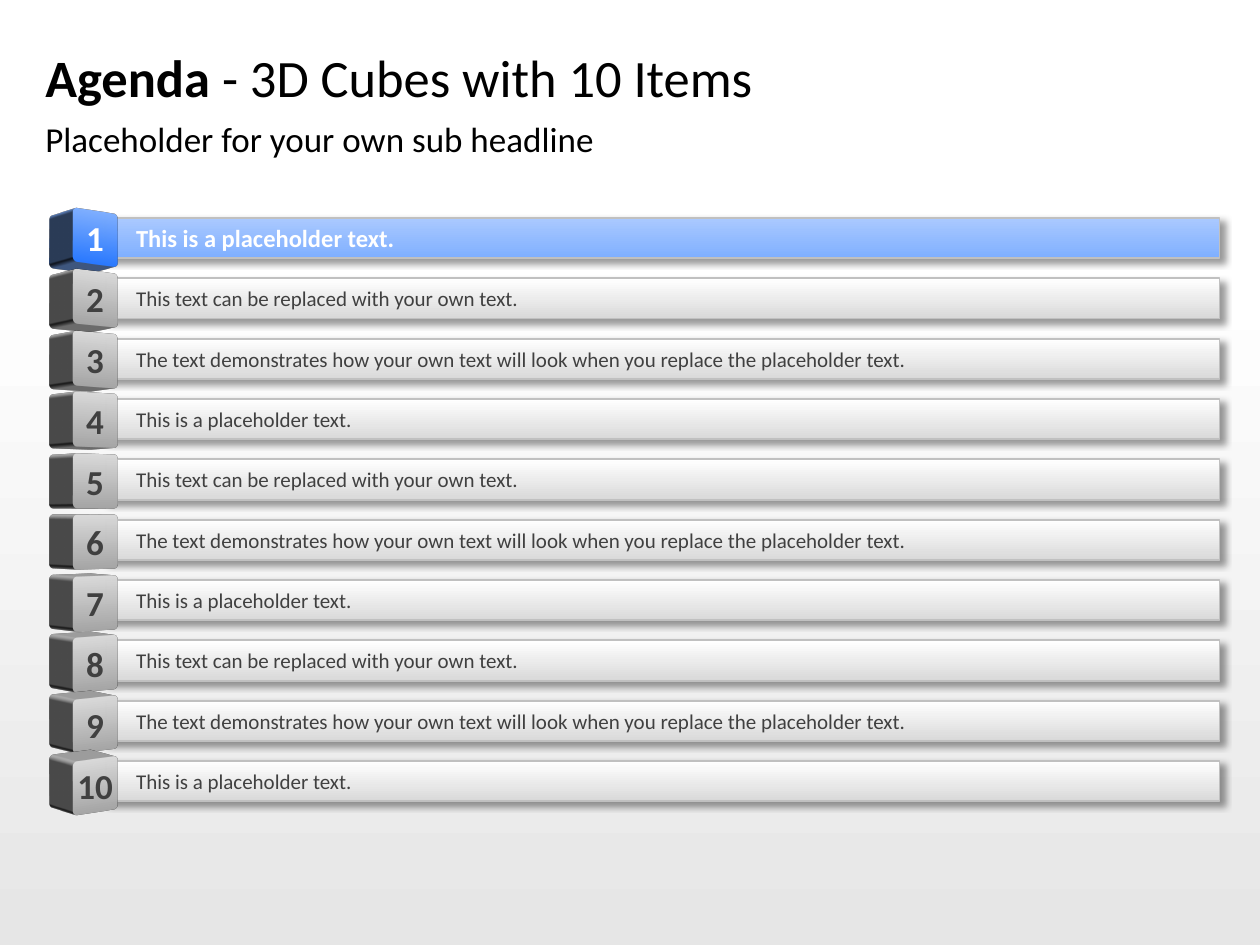
from lxml import etree
from pptx import Presentation
from pptx.dml.color import RGBColor
from pptx.enum.shapes import MSO_SHAPE
from pptx.enum.text import MSO_ANCHOR, MSO_AUTO_SIZE, PP_ALIGN
from pptx.oxml.ns import qn
from pptx.util import Inches, Pt

RECTANGLE, ROUNDED = MSO_SHAPE.RECTANGLE, MSO_SHAPE.ROUNDED_RECTANGLE
MIDDLE, TOP = MSO_ANCHOR.MIDDLE, MSO_ANCHOR.TOP
LEFT, CENTER = PP_ALIGN.LEFT, PP_ALIGN.CENTER
NO_AUTOFIT = MSO_AUTO_SIZE.NONE

FONT = "Calibri"
WIDTH, HEIGHT = 10, 7.5
MARGIN = 0.36
PHRASES = [
    "This is a placeholder text.",
    "This text can be replaced with your own text.",
    "The text demonstrates how your own text will look when you replace the placeholder text.",
]
ITEM_COUNT = 10
BAR_TOP, BAR_PITCH = 1.73, 4.31 / 9
CUBE_TOP, CUBE_PITCH = 1.67, 4.35 / 9
CUBE_SIZE, CUBE_DEPTH = 0.43, 0.33
TURN, MAXIMUM_TILT = 325, 12
ACTIVE = {"bar": ("AAC9FF", "7FAFFF"), "cube": ("7FAFFF", "2A79FF"),
          "text": "FFFFFF", "size": 14, "bold": True}
NORMAL = {"bar": ("FFFFFF", "D9D9D9"), "cube": ("D9D9D9", "A6A6A6"),
          "text": "404040", "size": 12, "bold": False}


def color(value):
    return RGBColor.from_string(value)


def fill_gradient(fill, colors, start=0):
    fill.gradient()
    fill.gradient_angle = 270
    for stop, position, value in zip(fill.gradient_stops, (start, 1), colors):
        stop.position = position
        stop.color.rgb = color(value)


def format_run(run, size, value, bold):
    run.font.name = FONT
    run.font.size = Pt(size)
    run.font.bold = bold
    run.font.color.rgb = color(value)


def write(shape, text, size, value, bold, alignment, anchor, insets=(0, 0)):
    frame = shape.text_frame
    frame.text = text
    frame.word_wrap = True
    frame.auto_size = NO_AUTOFIT
    frame.vertical_anchor = anchor
    frame.margin_left = frame.margin_right = Inches(insets[0])
    frame.margin_top = frame.margin_bottom = Inches(insets[1])
    paragraph = frame.paragraphs[0]
    paragraph.alignment = alignment
    paragraph.space_before = Pt(0)
    format_run(paragraph.runs[0], size, value, bold)
    return paragraph


def place(shape, left, top, width, height):
    shape.left, shape.top = Inches(left), Inches(top)
    shape.width, shape.height = Inches(width), Inches(height)


def add_drop_shadow(shape):
    shape.shadow.inherit = False
    effects = shape._element.spPr.find(qn("a:effectLst"))
    shadow = etree.SubElement(
        effects, qn("a:outerShdw"), blurRad=str(Pt(4)), dist=str(Pt(3)),
        dir="2700000", algn="tl", rotWithShape="0")
    black = etree.SubElement(shadow, qn("a:srgbClr"), val="000000")
    etree.SubElement(black, qn("a:alpha"), val="40000")


def extrude(shape, depth, latitude, longitude):
    properties = shape._element.spPr
    scene = etree.SubElement(properties, qn("a:scene3d"))
    camera = etree.SubElement(scene, qn("a:camera"), prst="perspectiveFront")
    etree.SubElement(camera, qn("a:rot"), lat=str(round(latitude % 360 * 60000)),
                     lon=str(longitude * 60000), rev="0")
    etree.SubElement(scene, qn("a:lightRig"), rig="threePt", dir="t")
    solid = etree.SubElement(properties, qn("a:sp3d"), extrusionH=str(Inches(depth)))
    etree.SubElement(solid, qn("a:bevelT"), w=str(Pt(1)), h=str(Pt(1)))


def add_headings(slide, left, top, width):
    title, body = slide.shapes.title, slide.placeholders[1]
    place(title, left, top, width, 0.67)
    paragraph = write(title, "Agenda ", 30, "000000", True, LEFT, MIDDLE)
    run = paragraph.add_run()
    run.text = "- 3D Cubes with 10 Items"
    format_run(run, 30, "000000", False)
    place(body, left, top + 0.66, width, 0.37)
    paragraph = write(body, "Placeholder for your own sub headline",
                      20, "000000", False, LEFT, TOP)
    properties = paragraph._p.get_or_add_pPr()
    properties.set("marL", "0")
    properties.set("indent", "0")
    etree.SubElement(properties, qn("a:buNone"))


def add_box(shapes, kind, left, top, width, height, colors):
    box = shapes.add_shape(kind, Inches(left), Inches(top), Inches(width), Inches(height))
    fill_gradient(box.fill, colors)
    return box


def add_bar(shapes, left, top, width, height, text, style):
    bar = add_box(shapes, RECTANGLE, left, top, width, height, style["bar"])
    bar.line.color.rgb = color("C0C0C0")
    bar.line.width = Pt(1)
    add_drop_shadow(bar)
    write(bar, text, style["size"], style["text"], style["bold"], LEFT, MIDDLE, (0.24, 0.04))


def add_cube(shapes, left, top, size, tilt, number, style):
    cube = add_box(shapes, ROUNDED, left, top, size, size, style["cube"])
    cube.adjustments[0] = 0.09
    cube.line.fill.background()
    cube.shadow.inherit = False
    extrude(cube, CUBE_DEPTH, tilt, TURN)
    write(cube, str(number), 20, style["text"], True, CENTER, MIDDLE, (0.04, 0.05))


def add_agenda(slide, left, width):
    for index in range(ITEM_COUNT):
        style = NORMAL if index else ACTIVE
        tilt = MAXIMUM_TILT * (2 * index / (ITEM_COUNT - 1) - 1)
        shapes = slide.shapes.add_group_shape().shapes
        add_bar(shapes, left + 0.3, BAR_TOP + index * BAR_PITCH, width - 0.3, 0.32,
                PHRASES[index % len(PHRASES)], style)
        add_cube(shapes, left, CUBE_TOP + index * CUBE_PITCH, CUBE_SIZE, tilt, index + 1, style)


def main():
    presentation = Presentation()
    presentation.slide_width, presentation.slide_height = Inches(WIDTH), Inches(HEIGHT)
    slide = presentation.slides.add_slide(presentation.slide_layouts[1])
    fill_gradient(slide.background.fill, ("FFFFFF", "E6E6E6"), 0.29)
    add_headings(slide, MARGIN, 0.27, WIDTH - 2 * MARGIN)
    add_agenda(slide, 0.54, 9.14)
    presentation.save("out.pptx")


if __name__ == "__main__":
    main()
